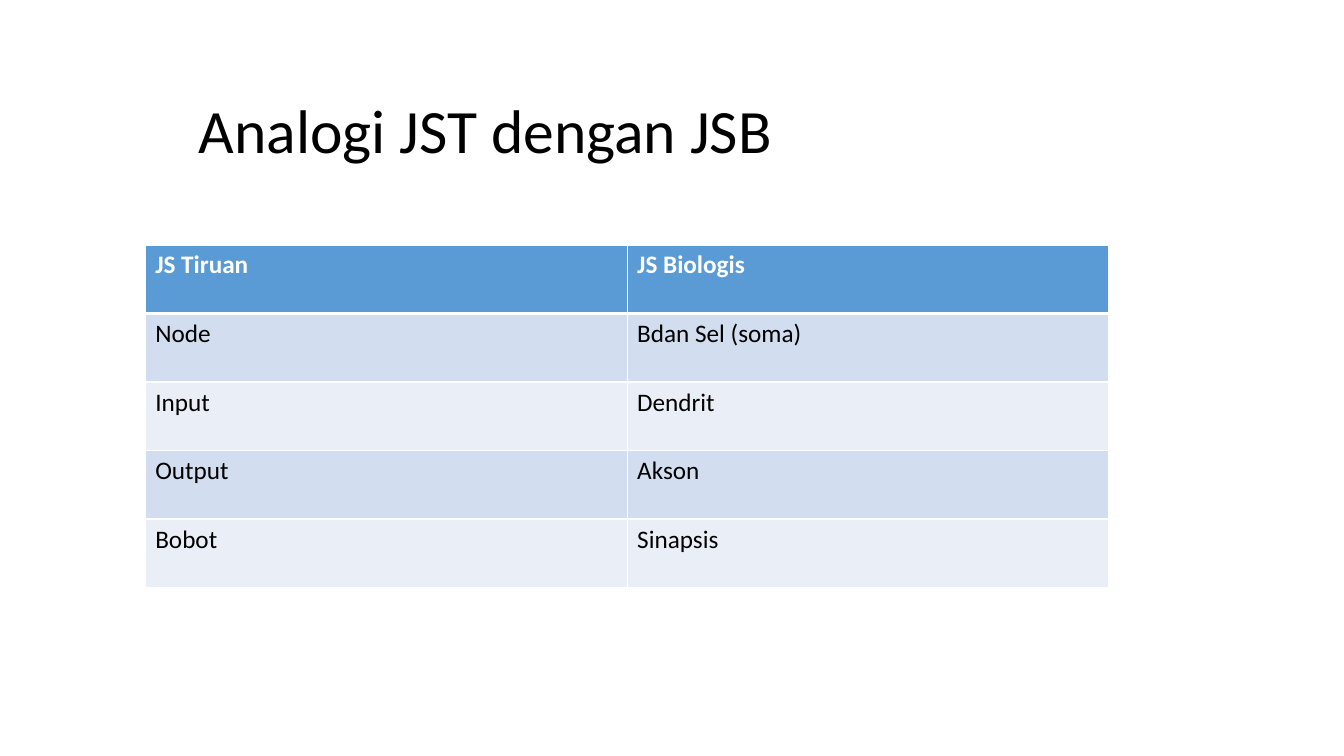
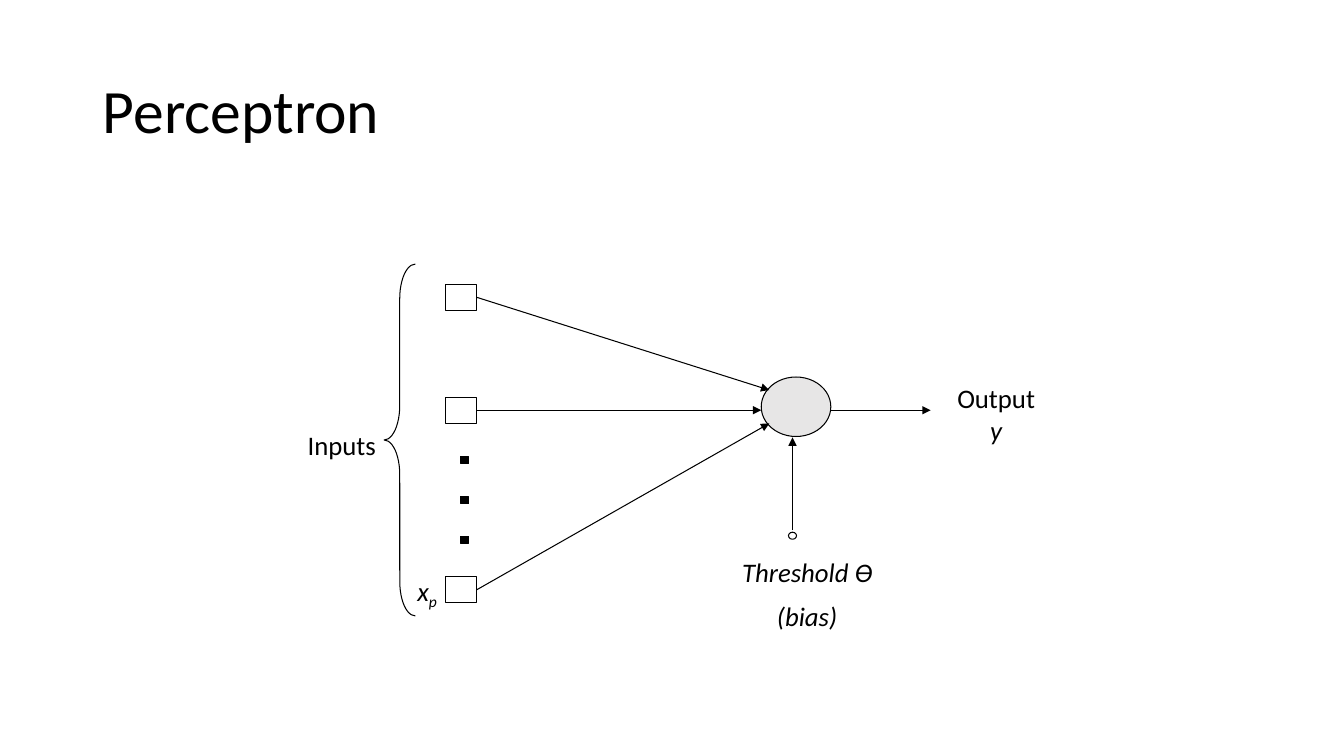
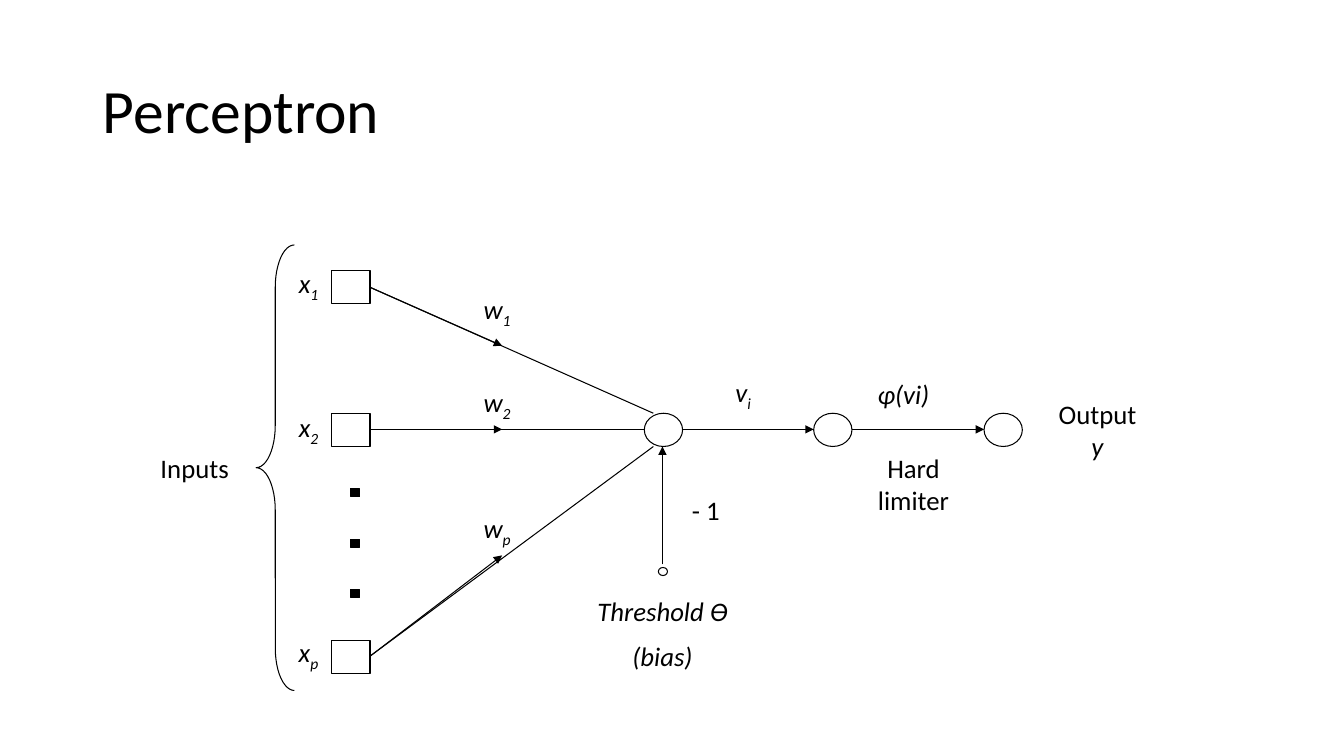
from lxml.etree import SubElement
from pptx import Presentation
from pptx.dml.color import RGBColor
from pptx.enum.shapes import MSO_CONNECTOR as LINK, MSO_SHAPE as SHAPE
from pptx.enum.text import MSO_ANCHOR as ANCHOR, MSO_AUTO_SIZE as FIT, PP_ALIGN as ALIGN
from pptx.oxml import parse_xml
from pptx.oxml.ns import nsdecls, qn
from pptx.util import Inches, Pt

BLACK = RGBColor(0x00, 0x00, 0x00)
WHITE = RGBColor(0xFF, 0xFF, 0xFF)
GREY = RGBColor(0xE7, 0xE6, 0xE6)
BLUE = RGBColor(0x5B, 0x9B, 0xD5)
BANDS = [RGBColor(0xD2, 0xDE, 0xEF), RGBColor(0xEA, 0xEF, 0xF7)]

# Run styles: plain, italic, italic subscript
PLAIN, ITAL, SUB = "plain", "ital", "sub"
OUTPUT = [("Output ", PLAIN), ("y", ITAL)]


class Deck:
    font = "Calibri"
    line = Pt(0.75)

    def __init__(self):
        self.prs = Presentation()
        self.prs.slide_width = Inches(13.33)
        self.prs.slide_height = Inches(7.5)
        self.slide = None

    def style(self, run, size, color=BLACK, bold=False, ital=False):
        font = run.font
        font.name, font.size = self.font, Pt(size)
        font.bold, font.italic = bold, ital
        font.color.rgb = color

    def start(self, title, box=(0.92, 0.4, 11.5, 1.45)):
        """Add a slide with its title."""
        self.slide = self.prs.slides.add_slide(self.prs.slide_layouts[5])
        head = self.slide.shapes.title
        head.left, head.top, head.width, head.height = map(Inches, box)
        frame = head.text_frame
        frame.text = title
        frame.auto_size = FIT.NONE
        frame.vertical_anchor = ANCHOR.MIDDLE
        para = frame.paragraphs[0]
        para.alignment, para.line_spacing = ALIGN.LEFT, 0.9
        self.style(para.runs[0], 44)

    def label(self, box, *paras):
        """Add centred text; each paragraph is a list of (text, style)."""
        frame = self.slide.shapes.add_textbox(*map(Inches, box)).text_frame
        frame.word_wrap = True
        frame.auto_size = FIT.SHAPE_TO_FIT_TEXT
        for i, parts in enumerate(paras):
            para = frame.add_paragraph() if i else frame.paragraphs[0]
            para.alignment = ALIGN.CENTER
            if i:
                para.space_before = Pt(9)
            for text, kind in parts:
                run = para.add_run()
                run.text = text
                self.style(run, 19.1, ital=kind != PLAIN)
                if kind == SUB:
                    run.font._element.set("baseline", "-25000")

    def symbol(self, box, name, index):
        self.label(box, [(name, ITAL), (index, SUB)])

    def shape(self, kind, box, fill=None):
        item = self.slide.shapes.add_shape(kind, *map(Inches, box))
        item.shadow.inherit = False
        item.line.color.rgb, item.line.width = BLACK, self.line
        if fill is None:
            item.fill.background()
        else:
            item.fill.solid()
            item.fill.fore_color.rgb = fill
        return item

    def column(self, left, tops, size, fill=None):
        """Add equal boxes below each other."""
        for top in tops:
            self.shape(SHAPE.RECTANGLE, (left, top, *size), fill)

    def brace(self, box):
        self.shape(SHAPE.LEFT_BRACE, box).adjustments[0] = 1.104

    def link(self, start, end, arrow=True):
        item = self.slide.shapes.add_connector(
            LINK.STRAIGHT, *map(Inches, (*start, *end)))
        item.line.color.rgb, item.line.width = BLACK, self.line
        if arrow:
            SubElement(item.line._get_or_add_ln(), qn("a:tailEnd"), type="triangle")
        SubElement(item._element.spPr, qn("a:effectLst"))

    def bias(self, box):
        self.label(box, [("Threshold Ө", ITAL)], [("(bias)", ITAL)])

    def border(self, cell, row):
        """Draw white cell borders, thick below the header."""
        props = cell._tc.get_or_add_tcPr()
        wide = {"T": 3 if row == 1 else 1, "B": 3 if row == 0 else 1}
        for i, side in enumerate("LRTB"):
            props.insert(i, parse_xml(
                f'<a:ln{side} {nsdecls("a")} w="{Pt(wide.get(side, 1))}"><a:solidFill>'
                f'<a:srgbClr val="{WHITE}"/></a:solidFill></a:ln{side}>'))

    def table(self, box, rows):
        grid = self.slide.shapes.add_table(
            len(rows), len(rows[0]), *map(Inches, box)).table
        for r, row in enumerate(rows):
            for c, text in enumerate(row):
                cell = grid.cell(r, c)
                cell.text_frame.text = text
                self.style(cell.text_frame.paragraphs[0].runs[0], 18,
                           BLACK if r else WHITE, bold=r == 0)
                cell.fill.solid()
                cell.fill.fore_color.rgb = BANDS[(r - 1) % 2] if r else BLUE
                self.border(cell, r)


def main():
    deck = Deck()

    # Slide 1: table of terms
    deck.start("Analogi JST dengan JSB", (1.87, 0.75, 9.61, 1.14))
    deck.table((1.44, 2.43, 9.56, 3.4), [
        ("JS Tiruan", "JS Biologis"),
        ("Node", "Bdan Sel (soma)"),
        ("Input", "Dendrit"),
        ("Output", "Akson"),
        ("Bobot", "Sinapsis"),
    ])

    # Slide 2: simple perceptron
    deck.start("Perceptron")
    deck.brace((3.81, 2.62, 0.31, 3.49))
    deck.label((2.51, 4.2, 1.76, 0.42), [("Inputs", PLAIN)])
    deck.column(4.42, (2.82, 3.94, 5.72), (0.31, 0.26))
    deck.column(4.57, (4.53, 4.93, 5.32), (0.08, 0.07), BLACK)
    deck.symbol((3.89, 5.65, 0.69, 0.42), "x", "p")
    # Neuron and its arrows
    deck.shape(SHAPE.OVAL, (7.55, 3.74, 0.69, 0.59), GREY)
    for top, end in ((2.95, (7.63, 3.87)), (4.07, (7.55, 4.07)), (5.85, (7.63, 4.2))):
        deck.link((4.73, top), end)
    deck.link((8.24, 4.07), (9.23, 4.07))
    deck.label((9.31, 3.74, 1.14, 0.74), OUTPUT)
    # Threshold
    deck.link((7.86, 5.26), (7.86, 4.34))
    deck.shape(SHAPE.OVAL, (7.82, 5.28, 0.08, 0.07))
    deck.bias((7.25, 5.46, 1.51, 0.9))

    # Slide 3: perceptron with weights and limiter
    deck.start("Perceptron")
    deck.brace((2.54, 2.43, 0.38, 4.42))
    deck.label((1.32, 4.43, 1.22, 0.42), [("Inputs", PLAIN)])
    deck.column(3.29, (2.68, 4.1, 6.35), (0.38, 0.33))
    deck.column(3.48, (4.85, 5.35, 5.85), (0.09, 0.08), BLACK)
    # Inputs: index, name top, weight top, line start, arrow tip, line end
    for index, top, high, start, tip, end in (
        ("1", 2.6, 2.86, 2.85, 3.43, (6.48, 4.1)),
        ("2", 4.03, 3.78, 4.26, 4.26, (6.39, 4.26)),
        ("p", 6.26, 5.03, 6.51, 5.51, (6.48, 4.43)),
    ):
        deck.symbol((2.64, top, 0.84, 0.42), "x", index)
        deck.symbol((4.51, high, 0.84, 0.42), "w", index)
        deck.link((3.67, start), end, arrow=False)
        deck.link((3.67, start), (4.98, tip))
    # Chain from sum to output
    for left in (6.39, 8.07, 9.76):
        deck.shape(SHAPE.OVAL, (left, 4.1, 0.38, 0.33))
    for left in (6.76, 8.45):
        deck.link((left, 4.26), (left + 1.31, 4.26))
    deck.symbol((6.95, 3.68, 0.84, 0.42), "v", "i")
    deck.label((8.54, 3.7, 0.84, 0.42), [("φ(vi)", ITAL)])
    deck.label((8.45, 4.43, 1.22, 0.74), [("Hard limiter", PLAIN)])
    deck.label((10.32, 3.9, 1.13, 0.74), OUTPUT)
    # Threshold
    deck.link((6.57, 5.6), (6.57, 4.43))
    deck.shape(SHAPE.OVAL, (6.53, 5.63, 0.09, 0.08))
    deck.label((6.39, 4.85, 1.22, 0.42), [("- 1", PLAIN)])
    deck.bias((5.82, 5.85, 1.5, 0.9))

    deck.prs.save("out.pptx")


if __name__ == "__main__":
    main()
